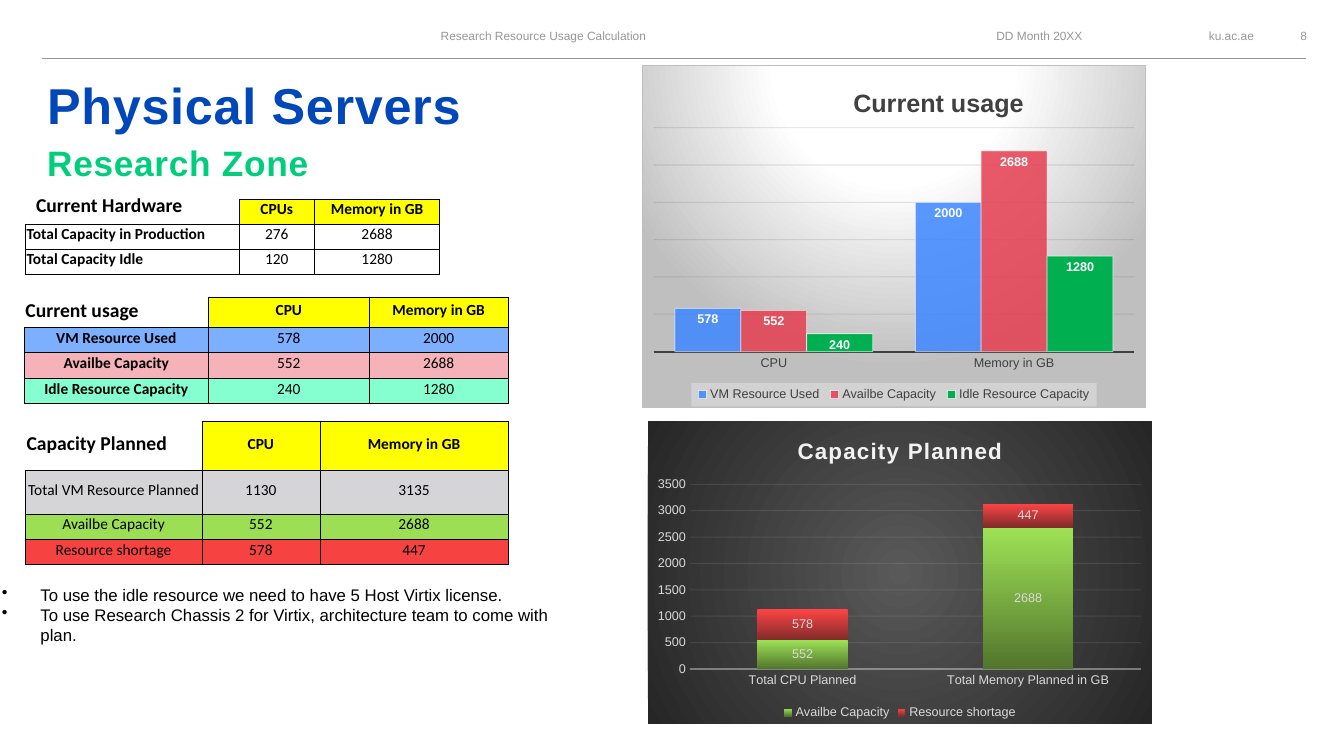
from dataclasses import dataclass
from lxml.etree import SubElement as Sub
from pptx import Presentation
from pptx.chart.data import CategoryChartData as Data
from pptx.dml.color import RGBColor as Rgb
from pptx.dml.fill import FillFormat as Fill
from pptx.dml.line import LineFormat as Line
from pptx.enum.chart import XL_CHART_TYPE as Kind, XL_LABEL_POSITION as Spot
from pptx.enum.chart import XL_LEGEND_POSITION as Side, XL_TICK_MARK as Tick
from pptx.enum.shapes import MSO_CONNECTOR as Conn
from pptx.enum.text import MSO_ANCHOR as Anchor, PP_ALIGN as Align
from pptx.oxml import parse_xml
from pptx.oxml.ns import nsdecls, qn
from pptx.util import Cm, Pt


@dataclass(frozen=True)
class Theme:
    sans: str = "Arial"
    grid: str = "Calibri"
    black: str = "000000"
    white: str = "FFFFFF"
    grey: str = "96969A"
    blue: str = "0047BA"
    green: str = "00CE7C"
    head: str = "FFFF00"
    dark: str = "404040"
    pale: str = "F2F2F2"
    soft: str = "D9D9D9"
    edge: str = "BFBFBF"
    used: str = "7DAFFF"
    free: str = "F5B2B9"
    idle: str = "85FFCF"
    plan: str = "D5D5D7"
    lime: str = "9CDF55"
    red: str = "F74242"
    tiny: float = 8.5
    note: float = 9
    cell: float = 11
    body: float = 12
    label: float = 14
    sub: float = 25.2
    title: float = 36


T = Theme()


def ink(font, tone, size, **style):
    font.color.rgb = Rgb.from_string(tone)
    for name, value in ({"name": T.sans, "size": Pt(size), "bold": False} | style).items():
        setattr(font, name, value)


def tint(fill, tone, alpha=100, shade=""):
    """Fill with one tone, or with (stop, tone) pairs when a shade is given."""
    fill.solid()
    fill.fore_color.rgb = Rgb.from_string(tone if not shade else T.white)
    solid = fill._xPr.find(qn("a:solidFill"))
    if alpha < 100:
        Sub(solid[0], qn("a:alpha"), val=str(alpha * 1000))
    if shade:
        stops = "".join(f'<a:gs pos="{at * 1000}"><a:srgbClr val="{hue}"/></a:gs>' for at, hue in tone)
        solid.getparent().replace(solid, parse_xml(
            f'<a:gradFill {nsdecls("a")} rotWithShape="1"><a:gsLst>{stops}</a:gsLst>{shade}</a:gradFill>'))


deck = Presentation()
deck.slide_width, deck.slide_height = Cm(33.87), Cm(19.05)
slide = deck.slides.add_slide(deck.slide_layouts[6])
shapes = slide.shapes

# Header rule
rule = shapes.add_connector(Conn.STRAIGHT, Cm(1.07), Cm(1.47), Cm(32.92), Cm(1.47))
tint(rule.line.fill, T.grey)
rule.line.width = Pt(0.75)
Sub(rule._element.spPr, qn("a:effectLst"))

# Header, titles and notes
notes = ["To use the idle resource we need to have 5 Host Virtix license.",
         "To use Research Chassis 2 for Virtix, architecture team to come with plan."]
mid, low, top = Anchor.MIDDLE, Anchor.BOTTOM, Anchor.TOP
texts = [
    (["ku.ac.ae"], (28.93, 0.56, 2.67, 0.69), mid, Align.RIGHT, T.grey, T.tiny, {}),
    (["DD Month 20XX"], (22.45, 0.56, 4.83, 0.69), mid, Align.RIGHT, T.grey, T.tiny, {}),
    (["Research Resource Usage Calculation"], (7.98, 0.56, 11.43, 0.69), mid, Align.CENTER, T.grey, T.tiny, {}),
    (["8"], (32.13, 0.56, 1.45, 0.69), mid, Align.CENTER, T.grey, T.tiny, {}),
    (["Physical Servers"], (1.19, 1.55, 11.13, 1.83), low, Align.LEFT, T.blue, T.title, {"bold": True}),
    (["Research Zone"], (1.19, 3.4, 11.61, 1.22), low, Align.LEFT, T.green, T.sub, {"bold": True}),
    (["Current Hardware"], (0.91, 4.85, 4.17, 0.61), top, Align.LEFT, T.black, T.label,
     {"bold": True, "name": T.grid}),
    (notes, (0.05, 14.73, 14.27, 1.63), top, Align.LEFT, T.black, T.body, {}),
]
for lines, place, anchor, align, tone, size, style in texts:
    frame = shapes.add_textbox(*map(Cm, place)).text_frame
    frame.word_wrap, frame.vertical_anchor = True, anchor
    frame.margin_left = frame.margin_right = frame.margin_top = frame.margin_bottom = 0
    frame.text = "\n".join(lines)
    for para in frame.paragraphs:
        para.alignment = align
        if lines is notes:
            props = para._p.get_or_add_pPr()
            props.set("marL", str(Cm(0.97)))
            props.set("indent", str(Cm(-0.97)))
            Sub(props, qn("a:buChar"), char="•")
        run = para.runs[0]
        ink(run.font, tone, size, **style)
        if size in (T.title, T.sub):
            run._r.get_or_add_rPr().set("spc", "50")

# Tables: place, column widths, row heights, then fill and cells by row
heads = ["CPU", "Memory in GB"]
tables = [
    ((0.64, 5.64), (5.38, 1.91, 3.15), (0.63, 0.63),
     [("", ["Total Capacity in Production", "276", "2688"]), ("", ["Total Capacity Idle", "120", "1280"])]),
    ((6.02, 5.01), (1.91, 3.15), (0.63,), [(T.head, ["CPUs", "Memory in GB"])]),
    ((0.61, 7.49), (4.65, 4.04, 3.51), (0.76, 0.64, 0.64, 0.64),
     [(T.head, ["Current usage", *heads]), (T.used, ["VM Resource Used", "578", "2000"]),
      (T.free, ["Availbe Capacity", "552", "2688"]), (T.idle, ["Idle Resource Capacity", "240", "1280"])]),
    ((0.64, 10.62), (4.45, 2.97, 4.75), (1.24, 1.09, 0.64, 0.64),
     [(T.head, ["Capacity Planned", *heads]), (T.plan, ["Total VM Resource Planned", "1130", "3135"]),
      (T.lime, ["Availbe Capacity", "552", "2688"]), (T.red, ["Resource shortage", "578", "447"])]),
]
for place, wides, highs, rows in tables:
    table = shapes.add_table(len(rows), len(wides), *map(Cm, (*place, sum(wides), sum(highs)))).table
    table.first_row = table.horz_banding = False
    for col, wide in zip(table.columns, wides):
        col.width = Cm(wide)
    for r, (tone, words) in enumerate(rows):
        table.rows[r].height = Cm(highs[r])
        for c, word in enumerate(words):
            cell = table.cell(r, c)
            name = tone == T.head and word in ("Current usage", "Capacity Planned")
            cell.margin_left = cell.margin_right = cell.margin_top = Cm(0.03)
            cell.margin_bottom = Cm(0.13)
            cell.vertical_anchor = mid
            cell.text = word
            para = cell.text_frame.paragraphs[0]
            para.alignment = Align.LEFT if name or (not tone and c == 0) else Align.CENTER
            bold = tone == T.head or (c == 0 and tone in ("", T.used, T.free, T.idle))
            ink(para.runs[0].font, T.black, T.label if name else T.cell, name=T.grid, bold=bold)
            props = cell._tc.get_or_add_tcPr()
            for side in "LRTB":
                edge = Sub(props, qn(f"a:ln{side}"), w=str(Pt(0.5)))
                if name and side in "LT":
                    Sub(edge, qn("a:noFill"))
                else:
                    Sub(Sub(edge, qn("a:solidFill")), qn("a:srgbClr"), val=T.black)
            if tone and not name:
                tint(cell.fill, tone)
            else:
                cell.fill.background()

# Charts
glow = '<a:path path="circle"><a:fillToRect l="50000" t="{}" r="50000" b="{}"/></a:path>'
down = '<a:lin ang="5400000" scaled="0"/>'
charts = [
    {"title": "Current usage", "size": 18, "place": (16.18, 1.63, 12.7, 8.64), "kind": Kind.COLUMN_CLUSTERED,
     "cats": heads, "tone": T.dark, "head": T.dark, "gap": 65, "lap": 0, "max": 3000,
     "back": [(0, T.white), (39, T.white), (100, T.edge)], "glow": glow.format(-80000, 180000),
     "grid": ("0D0D0D", 10), "axis": (T.dark, 100, 1.5), "label": (T.white, True, Spot.INSIDE_END),
     "plot": (0.022, 0.183, 0.956, 0.655),
     "series": [("VM Resource Used", (578, 2000), "3D87FF", 85, ""),
                ("Availbe Capacity", (552, 2688), "E53E51", 85, ""),
                ("Idle Resource Capacity", (240, 1280), "00B050", 100, "")]},
    {"title": "Capacity Planned", "size": 16, "place": (16.33, 10.62, 12.7, 7.62), "kind": Kind.COLUMN_STACKED,
     "cats": ["Total CPU Planned", "Total Memory Planned in GB"], "tone": T.soft, "head": T.pale,
     "gap": 150, "lap": 100, "max": 3500,
     "back": [(0, "595959"), (100, "262626")], "glow": glow.format(50000, 50000),
     "grid": (T.pale, 10), "axis": (T.pale, 54, 1), "label": (T.soft, False, Spot.CENTER),
     "plot": (0.083, 0.208, 0.895, 0.611),
     "series": [("Availbe Capacity", (552, 2688), [(0, "9EE256"), (100, "52762D")], 100, down),
                ("Resource shortage", (578, 447), [(0, "FE4444"), (100, "832B2B")], 100, down)]},
]
for item in charts:
    light = item["kind"] == Kind.COLUMN_CLUSTERED
    data = Data()
    data.categories = item["cats"]
    for name, values, *_ in item["series"]:
        data.add_series(name, values)
    chart = shapes.add_chart(item["kind"], *map(Cm, item["place"]), data).chart
    ink(chart.font, T.black, 10)
    chart.has_title = chart.has_legend = True
    head = chart.chart_title
    head.text_frame.text = item["title"]
    run = head.text_frame.paragraphs[0].runs[0]
    ink(run.font, item["head"], item["size"], bold=True)
    legend = chart.legend
    legend.position, legend.include_in_layout = Side.BOTTOM, False
    ink(legend.font, item["tone"], T.note)

    # Axes and grid
    cat, val = chart.category_axis, chart.value_axis
    for axis in (cat, val):
        axis.major_tick_mark = axis.minor_tick_mark = Tick.NONE
        ink(axis.tick_labels.font, item["tone"], T.note)
    tone, alpha, wide = item["axis"]
    tint(cat.format.line.fill, tone, alpha)
    cat.format.line.width = Pt(wide)
    val.format.line.fill.background()
    val.visible = not light
    val.minimum_scale, val.maximum_scale, val.major_unit = 0, item["max"], 500
    grid = val.major_gridlines.format.line
    tint(grid.fill, *item["grid"])
    grid.width = Pt(0.75)

    # Columns and values
    plot = chart.plots[0]
    plot.gap_width, plot.overlap, plot.vary_by_categories = item["gap"], item["lap"], False
    for ser, (_, _, tone, alpha, shade) in zip(plot.series, item["series"]):
        tint(ser.format.fill, tone, alpha, shade)
        if light:
            tint(ser.format.line.fill, T.white, 50)
            ser.format.line.width = Pt(0.75)
        tags = ser.data_labels
        tone, bold, tags.position = item["label"]
        tags.show_value = True
        ink(tags.font, tone, T.note, bold=bold)

    # Backgrounds of chart and legend
    for host in (chart._chartSpace, legend._element):
        props = parse_xml(f'<c:spPr {nsdecls("c", "a")}/>')
        host.find(qn("c:txPr")).addprevious(props)
        fill, line = Fill.from_fill_parent(props), Line(props)
        line.fill.background()
        if host is chart._chartSpace:
            tint(fill, item["back"], shade=item["glow"])
            if light:
                tint(line.fill, T.edge)
                line.width = Pt(0.75)
        elif light:
            tint(fill, T.pale, 39)
        else:
            fill.background()

    # Fixed places inside the chart
    spots = [(chart._chartSpace.chart.plotArea, 0, item["plot"])]
    if light:
        spots += [(head._element, 1, (0.41, 0.05)), (legend._element, 1, (0.097, 0.93, 0.806, 0.068))]
    else:
        run._r.get_or_add_rPr().set("spc", "100")
    for host, rank, box in spots:
        for old in host.findall(qn("c:layout")):
            host.remove(old)
        inner = '<c:layoutTarget val="inner"/>' if rank == 0 else ""
        modes = '<c:xMode val="edge"/><c:yMode val="edge"/>'
        sizes = "".join(f'<c:{key} val="{num}"/>' for key, num in zip("xywh", box))
        host.insert(rank, parse_xml(
            f'<c:layout {nsdecls("c")}><c:manualLayout>{inner}{modes}{sizes}</c:manualLayout></c:layout>'))

deck.save("out.pptx")
